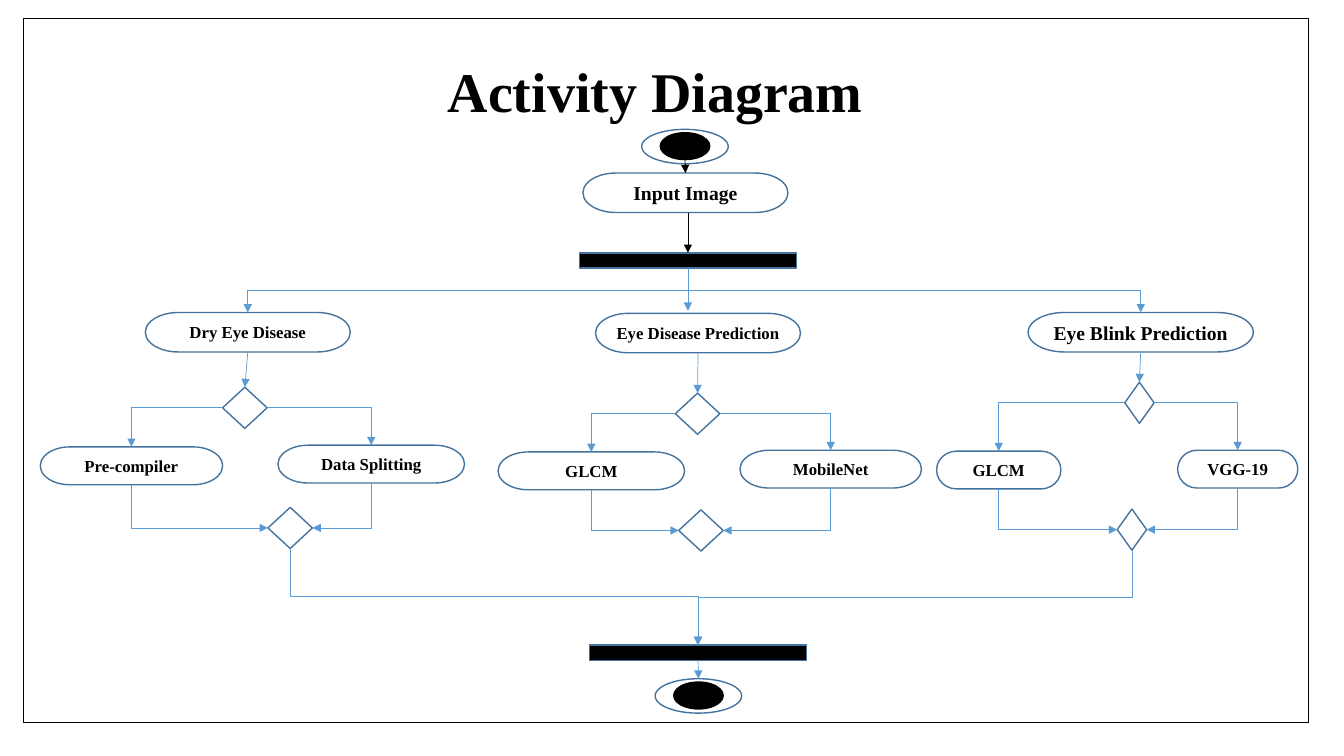
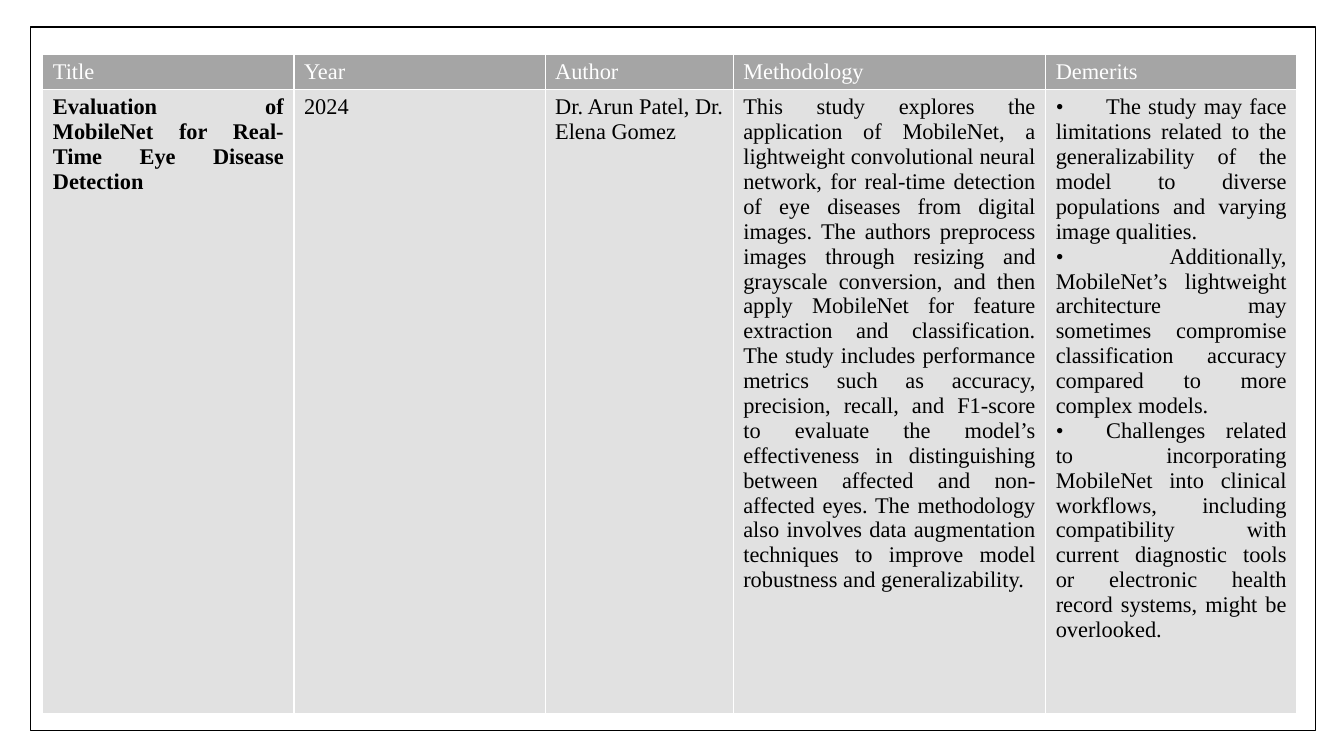
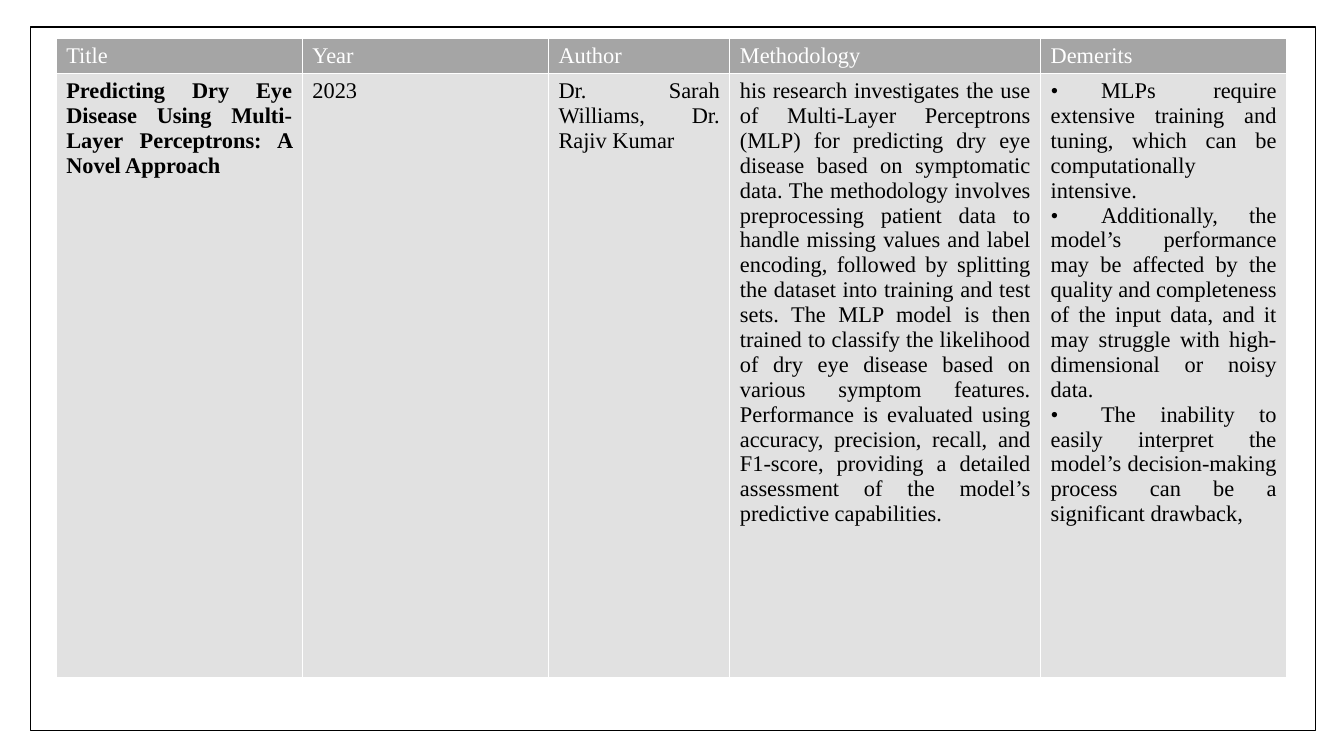
import pptx
import pptx.util
import pptx.dml.color
import pptx.enum.shapes
import pptx.enum.text
import pptx.oxml
import pptx.oxml.ns

RGBColor = pptx.dml.color.RGBColor
SHAPE = pptx.enum.shapes.MSO_SHAPE
LINE = pptx.enum.shapes.MSO_CONNECTOR
ALIGN = pptx.enum.text.PP_ALIGN
qn = pptx.oxml.ns.qn

BLACK = RGBColor(0x00, 0x00, 0x00)
WHITE = RGBColor(0xFF, 0xFF, 0xFF)
OUTLINE = RGBColor(0x43, 0x73, 0x9E)
FLOW = RGBColor(0x5B, 0x9B, 0xD5)
HEADER_GREY = RGBColor(0xA5, 0xA5, 0xA5)
BODY_GREY = RGBColor(0xE1, 0xE1, 0xE1)
FONT = "Times New Roman"

# The slide is a grid of 160 columns by 90 rows of square cells
deck = pptx.Presentation()
CELL = pptx.util.Inches(1) // 12
deck.slide_width, deck.slide_height = 160 * CELL, 90 * CELL
blank = deck.slide_layouts[6]
FRAME_SIZE = (153, 83.8)


def add_box(slide, preset, x, y, w, h, fill=WHITE, outline=OUTLINE, label="", size=12):
    box = slide.shapes.add_shape(preset, *(round(n * CELL) for n in (x, y, w, h)))
    box.shadow.inherit = False
    if fill is None:
        box.fill.background()
    else:
        box.fill.solid()
        box.fill.fore_color.rgb = fill
    box.line.color.rgb = outline
    box.line.width = pptx.util.Pt(1)
    if label:
        box.text_frame.word_wrap = False
        box.text_frame.vertical_anchor = pptx.enum.text.MSO_ANCHOR.MIDDLE
        paragraph = box.text_frame.paragraphs[0]
        paragraph.alignment = ALIGN.CENTER
        run = paragraph.add_run()
        run.text = label
        run.font.name, run.font.size, run.font.bold = FONT, pptx.util.Pt(size), True
        run.font.color.rgb = BLACK
    return box


def add_arrow(slide, start, end, bend="", color=FLOW):
    """Arrow between two points; bend is "" (straight), "across", "down" or "step"."""
    (x1, y1), (x2, y2) = start, end
    arrow = slide.shapes.add_connector(
        LINE.ELBOW if bend else LINE.STRAIGHT, *(round(n) for n in (x1, y1, x2, y2)))
    arrow.line.color.rgb = color
    arrow.line.width = pptx.util.Pt(0.5)
    properties = arrow._element.spPr
    tail = pptx.oxml.parse_xml(
        '<a:tailEnd %s type="triangle"/>' % pptx.oxml.ns.nsdecls("a"))
    properties.find(qn("a:ln")).append(tail)
    properties.append(
        pptx.oxml.parse_xml("<a:effectLst %s/>" % pptx.oxml.ns.nsdecls("a")))
    if bend:
        # Every bent arrow runs downwards; turn the preset to suit its first leg
        leftwards = x2 < x1
        if bend == "across":
            turn, flip = (180, "flipV") if leftwards else (0, "")
        else:
            turn, flip = (90, "") if leftwards else (270, "flipH")
            wide, high = abs(y2 - y1), abs(x2 - x1)
            arrow.left, arrow.top = round((x1 + x2 - wide) / 2), round((y1 + y2 - high) / 2)
            arrow.width, arrow.height = round(wide), round(high)
        transform = properties.find(qn("a:xfrm"))
        for name in ("flipH", "flipV"):
            transform.attrib.pop(name, None)
        transform.set("rot", str(turn * 60000))
        if flip:
            transform.set(flip, "1")
        preset = "bentConnector3" if bend == "step" else "bentConnector2"
        properties.find(qn("a:prstGeom")).set("prst", preset)
    return arrow


# Slide 1: activity diagram
activity = deck.slides.add_slide(blank)
title = activity.shapes.add_textbox(
    *(round(n * CELL) for n in (4.8, 6.1, 146.4, 9.2))).text_frame
title.word_wrap = True
title.paragraphs[0].alignment = ALIGN.CENTER
heading = title.paragraphs[0].add_run()
heading.text = "Activity Diagram"
heading.font.name, heading.font.size, heading.font.bold = FONT, pptx.util.Pt(40), True
heading.font.color.rgb = BLACK
add_box(activity, SHAPE.RECTANGLE, 2.8, 2.2, *FRAME_SIZE, fill=None, outline=BLACK)

# Start and end marks, input step, fork and join bars
marks = []
for x, y in ((76.4, 15.4), (78, 80.8)):
    ring = add_box(activity, SHAPE.OVAL, x, y, 10.3, 4.1)
    dot = add_box(activity, SHAPE.OVAL, x + 2.2, y + 0.4, 5.9, 3.2, BLACK, BLACK)
    marks.append((ring, dot))
(start_ring, start_dot), (end_ring, end_dot) = marks
input_step = add_box(activity, SHAPE.FLOWCHART_TERMINATOR, 69.4, 20.6, 24.4, 4.7,
                     label="Input Image", size=14)
fork, join = (add_box(activity, SHAPE.RECTANGLE, x, y, 25.8, 1.8, BLACK)
              for x, y in ((69, 30.1), (70.2, 76.8)))
fork_x, fork_bottom = fork.left + fork.width / 2, fork.top + fork.height
join_x = join.left + join.width / 2

dot_x = start_dot.left + start_dot.width / 2
to_input = add_arrow(activity, (dot_x, start_dot.top + start_dot.height),
                     (dot_x, input_step.top), color=BLACK)
to_input.end_connect(input_step, 0)
to_fork = add_arrow(activity, (fork_x, input_step.top + input_step.height),
                    (fork_x, fork.top), color=BLACK)
to_fork.end_connect(fork, 0)
to_middle = add_arrow(activity, (fork_x, fork_bottom), (fork_x, 37 * CELL))
to_middle.begin_connect(fork, 2)
to_end = add_arrow(activity, (join_x, join.top + join.height), (join_x, end_ring.top))
to_end.begin_connect(join, 2)
to_end.end_connect(end_ring, 0)

# Branches: task (x, y, width, label, size), diamond width, split (x, y),
# left and right step (x, y, width, label), merge (x, y)
branches = [
    ((17.3, 37.2, 24.4, "Dry Eye Disease", 12), 5.3, (26.5, 46.1),
     (4.8, 53.2, 21.7, "Pre-compiler"), (33.1, 53, 22.2, "Data Splitting"), (31.9, 60.4)),
    ((70.9, 37.3, 24.4, "Eye Disease Prediction", 12), 5.3, (80.4, 46.8),
     (59.3, 53.8, 22.2, "GLCM"), (88.1, 53.6, 21.6, "MobileNet"), (80.8, 60.7)),
    ((122.4, 37.2, 26.8, "Eye Blink Prediction", 14), 3.5, (133.9, 45.5),
     (111.5, 53.7, 14.8, "GLCM"), (140.2, 53.6, 14.3, "VGG-19"), (133, 60.6)),
]
for (x, y, w, label, size), diamond_w, split_at, left_step, right_step, merge_at in branches:
    task = add_box(activity, SHAPE.FLOWCHART_TERMINATOR, x, y, w, 4.7,
                   label=label, size=size)
    split, merge = (add_box(activity, SHAPE.DIAMOND, *at, diamond_w, 4.9)
                    for at in (split_at, merge_at))
    task_x = task.left + task.width / 2
    merge_x = merge.left + merge.width / 2
    to_split = add_arrow(activity, (task_x, task.top + task.height), (task_x, split.top))
    to_split.begin_connect(task, 2)
    to_split.end_connect(split, 0)
    for side, (x, y, w, label) in enumerate((left_step, right_step)):
        step = add_box(activity, SHAPE.FLOWCHART_TERMINATOR, x, y, w, 4.5, label=label)
        step_x = step.left + step.width / 2
        add_arrow(activity, (split.left + side * split.width, split.top + split.height / 2),
                  (step_x, step.top), "across")
        add_arrow(activity, (step_x, step.top + step.height),
                  (merge.left + side * merge.width, merge.top + merge.height / 2), "down")
    # Only the outer branches meet the fork and the join by a step
    if label != "MobileNet":
        add_arrow(activity, (fork_x, fork_bottom), (task_x, task.top), "step")
        add_arrow(activity, (merge_x, merge.top + merge.height), (join_x, join.top), "step")

# Slides 2 and 3: literature survey, one paper each
HEADERS = ["Title", "Year", "Author", "Methodology", "Demerits"]
papers = [
    ((5.1, 6.5), (29.9, 29.9, 22.4, 37.2, 29.9), (4.2, 74.3), [
        ["Evaluation of MobileNet for Real-Time Eye Disease Detection"],
        ["2024"],
        ["Dr. Arun Patel, Dr. Elena Gomez"],
        ["This study explores the application of MobileNet, a lightweight convolutional "
         "neural network, for real-time detection of eye diseases from digital images. The "
         "authors preprocess images through resizing and grayscale conversion, and then "
         "apply MobileNet for feature extraction and classification. The study includes "
         "performance metrics such as accuracy, precision, recall, and F1-score to evaluate "
         "the model’s effectiveness in distinguishing between affected and non-affected "
         "eyes. The methodology also involves data augmentation techniques to improve model "
         "robustness and generalizability."],
        ["•\tThe study may face limitations related to the generalizability of the model to "
         "diverse populations and varying image qualities.",
         "• Additionally, MobileNet’s lightweight architecture may sometimes compromise "
         "classification accuracy compared to more complex models.",
         "•\tChallenges related to incorporating MobileNet into clinical workflows, "
         "including compatibility with current diagnostic tools or electronic health record "
         "systems, might be overlooked."],
    ]),
    ((6.7, 4.6), (29.3, 29.3, 21.6, 37, 29.3), (4.1, 71.9), [
        ["Predicting Dry Eye Disease Using Multi-Layer Perceptrons: A Novel Approach"],
        ["2023"],
        ["Dr. Sarah Williams, Dr. Rajiv Kumar"],
        ["his research investigates the use of Multi-Layer Perceptrons (MLP) for predicting "
         "dry eye disease based on symptomatic data. The methodology involves preprocessing "
         "patient data to handle missing values and label encoding, followed by splitting "
         "the dataset into training and test sets. The MLP model is then trained to classify "
         "the likelihood of dry eye disease based on various symptom features. Performance "
         "is evaluated using accuracy, precision, recall, and F1-score, providing a detailed "
         "assessment of the model’s predictive capabilities."],
        ["•\tMLPs require extensive training and tuning, which can be computationally "
         "intensive.",
         "•\tAdditionally, the model’s performance may be affected by the quality and "
         "completeness of the input data, and it may struggle with high-dimensional or noisy "
         "data.",
         "•\tThe inability to easily interpret the model’s decision-making process can be a "
         "significant drawback,"],
    ]),
]
for (left, top), columns, rows, details in papers:
    survey = deck.slides.add_slide(blank)
    add_box(survey, SHAPE.RECTANGLE, 3.6, 3.2, *FRAME_SIZE, fill=None, outline=BLACK)
    paper = survey.shapes.add_table(
        2, len(columns), *(round(n * CELL) for n in (left, top, sum(columns), sum(rows)))).table
    paper.horz_banding = False
    for column, width in zip(paper.columns, columns):
        column.width = round(width * CELL)
    for row, height in zip(paper.rows, rows):
        row.height = round(height * CELL)
    for r, entries in enumerate(([[name] for name in HEADERS], details)):
        for c, texts in enumerate(entries):
            cell = paper.cell(r, c)
            cell.fill.solid()
            cell.fill.fore_color.rgb = BODY_GREY if r else HEADER_GREY
            # White rules around each cell, in front of the fill element
            for place, edge in enumerate(("lnL", "lnR", "lnT", "lnB")):
                rule = pptx.oxml.parse_xml(
                    '<a:%s %s w="12700"><a:solidFill><a:srgbClr val="%s"/></a:solidFill></a:%s>'
                    % (edge, pptx.oxml.ns.nsdecls("a"), WHITE, edge))
                cell._tc.get_or_add_tcPr().insert(place, rule)
            for n, text in enumerate(texts):
                frame = cell.text_frame
                paragraph = frame.add_paragraph() if n else frame.paragraphs[0]
                paragraph.alignment = ALIGN.JUSTIFY if r else ALIGN.LEFT
                run = paragraph.add_run()
                run.text = text
                run.font.name, run.font.size = FONT, pptx.util.Pt(16)
                run.font.bold = r == 1 and c == 0
                run.font.color.rgb = BLACK if r else WHITE

deck.save("out.pptx")
